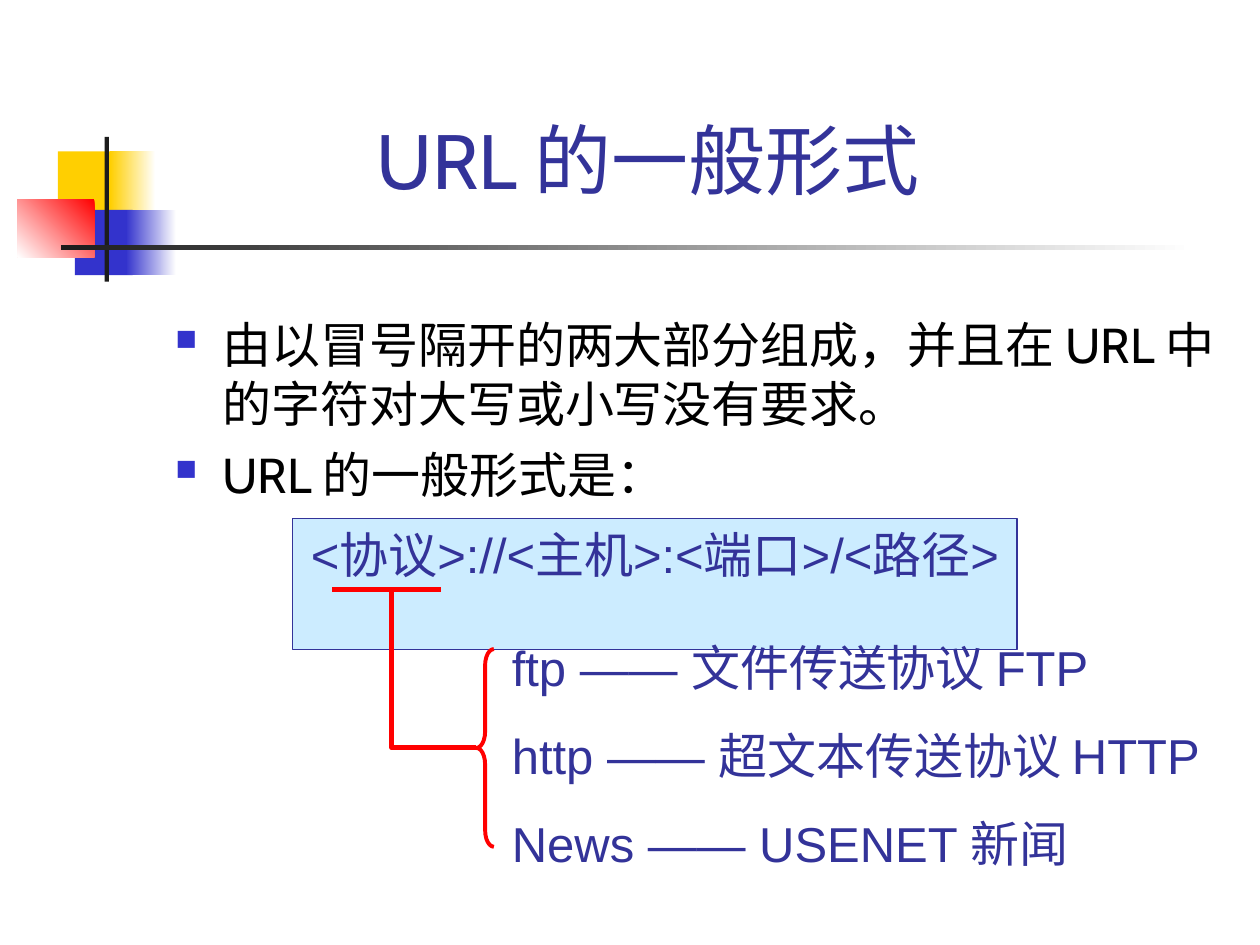
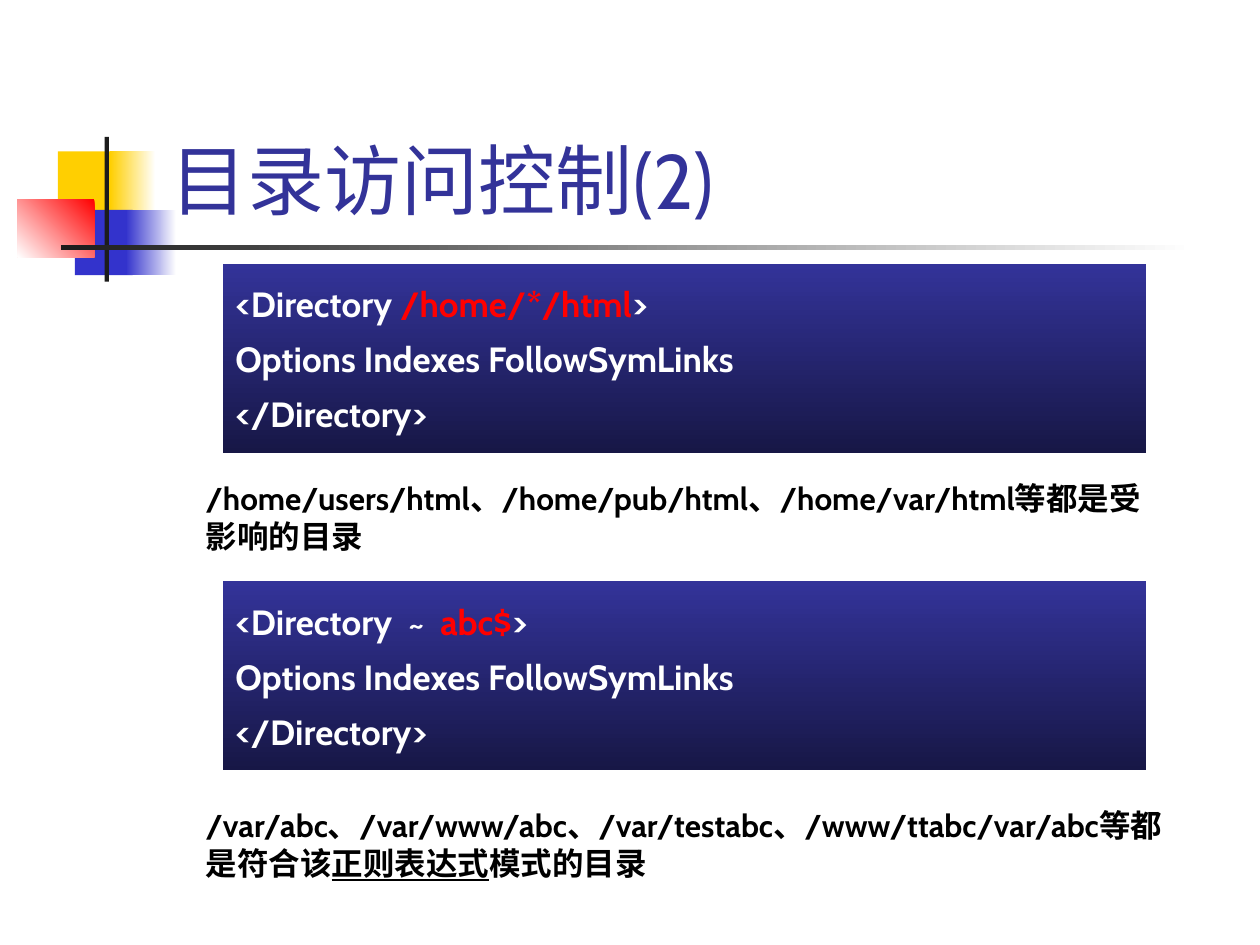
from lxml.etree import SubElement
from pptx import Presentation
from pptx.dml.color import RGBColor
from pptx.enum.shapes import MSO_CONNECTOR, MSO_SHAPE
from pptx.enum.text import MSO_ANCHOR, PP_ALIGN
from pptx.oxml.ns import qn
from pptx.util import Pt

COLORS = {
    "paper": "FFFFFF", "ink": "000000", "bar": "1C1C1C",
    "yellow": "FFCF01", "blue": "3333CC", "red": "FF0000",
    "navy": "333399", "midnight": "171746", "sky": "CCECFF",
}
RGB = {name: RGBColor.from_string(value) for name, value in COLORS.items()}


def add_block(slide, place, *fill_colors, angle=0):
    """Add a borderless rectangle, with a gradient if two colours are given."""
    block = slide.shapes.add_shape(MSO_SHAPE.RECTANGLE, *map(Pt, place))
    block.shadow.inherit = False
    block.line.fill.background()
    if len(fill_colors) == 1:
        block.fill.solid()
        block.fill.fore_color.rgb = RGB[fill_colors[0]]
    else:
        block.fill.gradient()
        block.fill.gradient_angle = angle
        for stop, color in zip(block.fill.gradient_stops, fill_colors):
            stop.color.rgb = RGB[color]
    return block


def write(shape, paragraphs, size, color, font="Cabin", bold=False, align=PP_ALIGN.LEFT,
          anchor=MSO_ANCHOR.TOP, before=0, after=0, spacing=None, bullet=False):
    """Fill a shape with paragraphs, each a list of (text, overrides) runs."""
    frame = shape.text_frame
    frame.word_wrap = True
    frame.vertical_anchor = anchor
    for index, runs in enumerate(paragraphs):
        paragraph = frame.add_paragraph() if index else frame.paragraphs[0]
        paragraph.alignment = align
        paragraph.space_before = Pt(before if index else 0)
        paragraph.space_after = Pt(after)
        if spacing:
            paragraph.line_spacing = spacing
        if bullet:
            props = paragraph._p.get_or_add_pPr()
            props.set("marL", str(Pt(27)))
            props.set("indent", str(Pt(-27)))
            bullet_color = SubElement(props, qn("a:buClr"))
            SubElement(bullet_color, qn("a:srgbClr"), val=COLORS["blue"])
            SubElement(props, qn("a:buSzPct"), val="60000")
            # "n" is the filled square of Wingdings
            SubElement(props, qn("a:buFont"), typeface="Wingdings", charset="2")
            SubElement(props, qn("a:buChar"), char="n")
        for text, overrides in runs:
            run = paragraph.add_run()
            run.text = text
            run.font.size = Pt(size)
            run.font.name = font
            run.font.bold = bold
            run.font.underline = overrides.get("underline", False)
            run.font.color.rgb = RGB[overrides.get("color", color)]


deck = Presentation()
deck.slide_width, deck.slide_height = Pt(720), Pt(540)

# Shared ornament and title
TITLES = [
    ("URL 的一般形式 ", (90.7, 54.7, 569.5, 66.2), PP_ALIGN.CENTER),
    ("目录访问控制(2)", (90.4, 16.6, 613.4, 115.2), PP_ALIGN.LEFT),
]
ORNAMENT = [
    ((33.1, 86.5, 34.6, 37.4), ("yellow",), 0),
    ((63, 86.5, 25.9, 37.4), ("paper", "yellow"), 180),
    ((42.8, 119.9, 33.1, 37.4), ("blue",), 0),
    ((72, 119.9, 28.8, 37.4), ("paper", "blue"), 180),
    ((10, 113.8, 44, 33.1), ("red", "paper"), 225),
    ((59.8, 78.2, 2.4, 82.8), ("bar",), 0),
    ((34.6, 140.2, 648, 2.4), ("paper", "bar"), 180),
]
slides = []
for title, title_place, title_align in TITLES:
    slide = deck.slides.add_slide(deck.slide_layouts[6])
    slide.background.fill.solid()
    slide.background.fill.fore_color.rgb = RGB["paper"]
    for place, fill_colors, angle in ORNAMENT:
        add_block(slide, place, *fill_colors, angle=angle)
    write(slide.shapes.add_textbox(*map(Pt, title_place)), [[(title, {})]], 44, "navy",
          align=title_align, anchor=MSO_ANCHOR.BOTTOM)
    slides.append(slide)
url_slide, directory_slide = slides

# URL structure
url_points = [
    "由以冒号隔开的两大部分组成，并且在 URL 中的字符对大写或小写没有要求。",
    "URL 的一般形式是：",
]
write(url_slide.shapes.add_textbox(Pt(93.1), Pt(176.2), Pt(612), Pt(152.6)),
      [[(point, {})] for point in url_points], 28, "ink", before=7, bullet=True)

url_pattern = add_block(url_slide, (167.2, 296.3, 414, 74.8), "sky")
url_pattern.line.color.rgb = RGB["navy"]
url_pattern.line.width = Pt(0.75)
write(url_pattern, [[("<协议>://<主机>:<端口>/<路径> ", {})]], 28, "navy",
      font="Arial", align=PP_ALIGN.CENTER)

# Red path from the protocol part to its values
mark_y, branch_y, stem_x, brace_x = 336.8, 427.2, 223.9, 272.2
protocol_mark = url_slide.shapes.add_connector(
    MSO_CONNECTOR.STRAIGHT, Pt(190), Pt(mark_y), Pt(252), Pt(mark_y))
stem_builder = url_slide.shapes.build_freeform(Pt(stem_x), Pt(mark_y))
stem_builder.add_line_segments(
    [(Pt(stem_x), Pt(branch_y)), (Pt(brace_x), Pt(branch_y))], close=False)
stem = stem_builder.convert_to_shape()
brace = url_slide.shapes.add_shape(
    MSO_SHAPE.LEFT_BRACE, Pt(brace_x), Pt(370.9), Pt(10), Pt(113))
brace.adjustments[0] = 0.93
for stroke, width in [(protocol_mark, 3), (stem, 3), (brace, 2.25)]:
    stroke.line.color.rgb = RGB["red"]
    stroke.line.width = Pt(width)
for outline in (stem, brace):
    outline.fill.background()
    outline.shadow.inherit = False
SubElement(protocol_mark._element.spPr, qn("a:effectLst"))

protocols = ["ftp —— 文件传送协议 FTP", "http —— 超文本传送协议 HTTP", "News —— USENET 新闻"]
write(url_slide.shapes.add_textbox(Pt(285.4), Pt(343.8), Pt(430), Pt(158.4)),
      [[(protocol, {})] for protocol in protocols], 28, "navy",
      font="Arial", spacing=1.5)

# Directory rules, each followed by the directories it matches
RULES = [
    (150.9, "<Directory ", "/home/*/html", 270, 51.1,
     [("/home/users/html、/home/pub/html、/home/var/html等都是受影响的目录", {})]),
    (332.3, "<Directory  ~  ", "abc$", 457.2, 62.6,
     [("/var/abc、/var/www/abc、/var/testabc、/www/ttabc/var/abc等都是符合该", {}),
      ("正则表达式", {"underline": True}),
      ("模式的目录", {})]),
]
for rule_top, opening, pattern, note_top, note_height, note in RULES:
    rule = add_block(directory_slide, (127.4, rule_top, 527.4, 108), "navy", "midnight", angle=270)
    write(rule, [
        [(opening, {}), (pattern, {"color": "red"}), (">", {})],
        [("Options Indexes FollowSymLinks", {})],
        [("</Directory>", {})],
    ], 20, "paper", bold=True, anchor=MSO_ANCHOR.MIDDLE, before=3.7, after=3.7)
    write(directory_slide.shapes.add_textbox(Pt(110.4), Pt(note_top), Pt(561.6), Pt(note_height)),
          [note], 18, "ink", bold=True)

deck.save("out.pptx")
